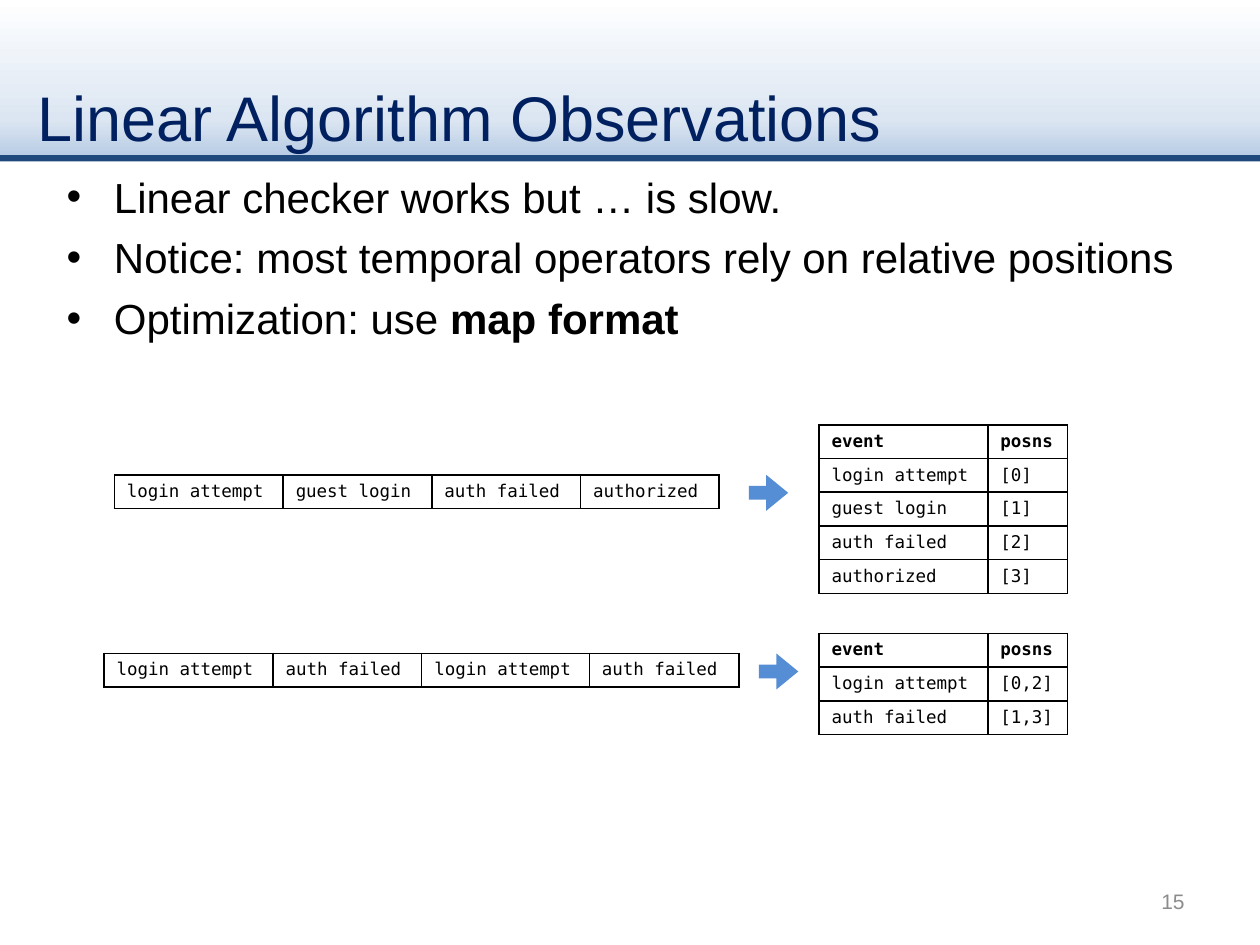
from lxml.etree import SubElement
from pptx import Presentation
from pptx.dml.color import RGBColor
from pptx.enum.shapes import MSO_SHAPE
from pptx.enum.text import MSO_ANCHOR, PP_ALIGN
from pptx.oxml.ns import qn
from pptx.util import Pt

COLORS = {"navy": "002060", "rule": "1F497D", "arrow": "558ED5", "text": "000000",
          "number": "8C8C8C", "pale": "DCE6F2", "mist": "B9CDE5", "white": "FFFFFF"}
ROW_H = 18.95


def rgb(name):
    """Return the named colour."""
    return RGBColor.from_string(COLORS[name])


def add_color(parent, name):
    """Append a solid colour element to an XML parent."""
    SubElement(parent, qn("a:srgbClr"), val=COLORS[name])


class SlideBuilder:
    """Holds the styles and the current slide."""

    styles = {
        "title": {"name": "Arial", "size": Pt(36), "color": "navy"},
        "body": {"name": "Arial", "size": Pt(24), "color": "text"},
        "number": {"name": "Arial", "size": Pt(12), "color": "number"},
        "code": {"name": "DejaVu Sans Mono", "size": Pt(10), "color": "text"},
    }

    def __init__(self, s):
        self.s = s

    def run(self, p, text, style, bold=False):
        """Add a styled run to a paragraph."""
        r = p.add_run()
        r.text = text
        for key, value in {**self.styles[style], "bold": bold}.items():
            if key == "color":
                r.font.color.rgb = rgb(value)
            else:
                setattr(r.font, key, value)

    def shape(self, kind, box, color):
        """Add a filled preset shape without outline or shadow."""
        sp = self.s.shapes.add_shape(kind, *map(Pt, box))
        sp.shadow.inherit = False
        sp.fill.solid()
        sp.fill.fore_color.rgb = rgb(color)
        sp.line.fill.background()
        return sp

    def gradient(self, box, stops, angle):
        """Add a rectangle with a gradient of (percent, colour) stops."""
        sp = self.shape(MSO_SHAPE.RECTANGLE, box, "white")
        sp.fill.gradient()
        sp.fill.gradient_angle = angle
        gs_list = sp.element.spPr.find(qn("a:gradFill")).find(qn("a:gsLst"))
        for old in list(gs_list):
            gs_list.remove(old)
        for percent, color in stops:
            add_color(SubElement(gs_list, qn("a:gs"), pos=str(percent * 1000)), color)

    def arrow(self, left, top):
        """Add a block arrow pointing right."""
        sp = self.shape(MSO_SHAPE.RIGHT_ARROW, (left, top, 22.5, 20.6), "arrow")
        sp.adjustments[0], sp.adjustments[1] = 0.38, 0.61

    def text_box(self, box, anchor=MSO_ANCHOR.TOP):
        """Add a wrapping text box and return its text frame."""
        tf = self.s.shapes.add_textbox(*map(Pt, box)).text_frame
        tf.word_wrap = True
        tf.vertical_anchor = anchor
        return tf

    def line(self, box, text, style, align=PP_ALIGN.LEFT):
        """Add one vertically centred line of text."""
        p = self.text_box(box, MSO_ANCHOR.MIDDLE).paragraphs[0]
        p.alignment = align
        self.run(p, text, style)

    def bullets(self, box, items):
        """Add a bulleted list; each item is a list of (text, bold) runs."""
        tf = self.text_box(box)
        for i, item in enumerate(items):
            p = tf.add_paragraph() if i else tf.paragraphs[0]
            p.space_before = Pt(5.8)
            pPr = p._p.get_or_add_pPr()
            pPr.set("marL", str(Pt(27)))
            pPr.set("indent", str(-Pt(27)))
            SubElement(pPr, qn("a:buFont"), typeface="Arial")
            SubElement(pPr, qn("a:buChar"), char="•")
            for text, bold in item:
                self.run(p, text, "body", bold)

    def border(self, cell):
        """Draw a 1 pt line on every side of a cell."""
        tcPr = cell._tc.get_or_add_tcPr()
        for i, side in enumerate(("lnL", "lnR", "lnT", "lnB")):
            ln = tcPr.makeelement(qn("a:" + side), {"w": str(Pt(1))})
            add_color(SubElement(ln, qn("a:solidFill")), "text")
            tcPr.insert(i, ln)

    def table(self, left, top, widths, rows, header=False):
        """Add a bordered table of monospaced text."""
        tbl = self.s.shapes.add_table(len(rows), len(widths), Pt(left), Pt(top),
                                      Pt(sum(widths)), Pt(ROW_H * len(rows))).table
        tbl.first_row = header
        tbl.horz_banding = False
        for col, width in zip(tbl.columns, widths):
            col.width = Pt(width)
        for i, values in enumerate(rows):
            tbl.rows[i].height = Pt(ROW_H)
            for j, value in enumerate(values):
                cell = tbl.cell(i, j)
                cell.fill.background()
                self.border(cell)
                self.run(cell.text_frame.paragraphs[0], value, "code", header and i == 0)


prs = Presentation()
prs.slide_width, prs.slide_height = Pt(720), Pt(540)
b = SlideBuilder(prs.slides.add_slide(prs.slide_layouts[6]))

b.gradient((0, 0, 720, 88.6), [(0, "mist"), (23, "pale"), (100, "white")], 90)
b.line((14.4, 21.6, 648, 90), "Linear Algorithm Observations", "title")
b.shape(MSO_SHAPE.RECTANGLE, (0, 88.6, 720, 3.6), "rule")
b.line((516, 500.5, 168, 28.8), "15", "number", PP_ALIGN.RIGHT)
b.bullets((31, 94.3, 669, 391), [
    [("Linear checker works but … is slow.", False)],
    [("Notice: most temporal operators rely on relative positions", False)],
    [("Optimization: use ", False), ("map format", True)],
])

# Each trace: left and top of the list, column widths, events, arrow left, top of the map
LOGIN, GUEST, FAILED, DONE = "login attempt", "guest login", "auth failed", "authorized"
traces = [
    (65.3, 271.3, (96.5, 85, 85, 79.2), (LOGIN, GUEST, FAILED, DONE), 427.9, 242.8),
    (59.5, 373.4, (96.5, 85, 95.8, 85.5), (LOGIN, FAILED, LOGIN, FAILED), 433.7, 362),
]
for left, top, widths, events, arrow_left, map_top in traces:
    positions = {}
    for i, event in enumerate(events):
        positions.setdefault(event, []).append(str(i))
    rows = [(event, f"[{','.join(found)}]") for event, found in positions.items()]
    b.table(468, map_top, (96.5, 45.4), [("event", "posns")] + rows, header=True)
    b.table(left, top, widths, [events])
    b.arrow(arrow_left, top)

prs.save("out.pptx")
